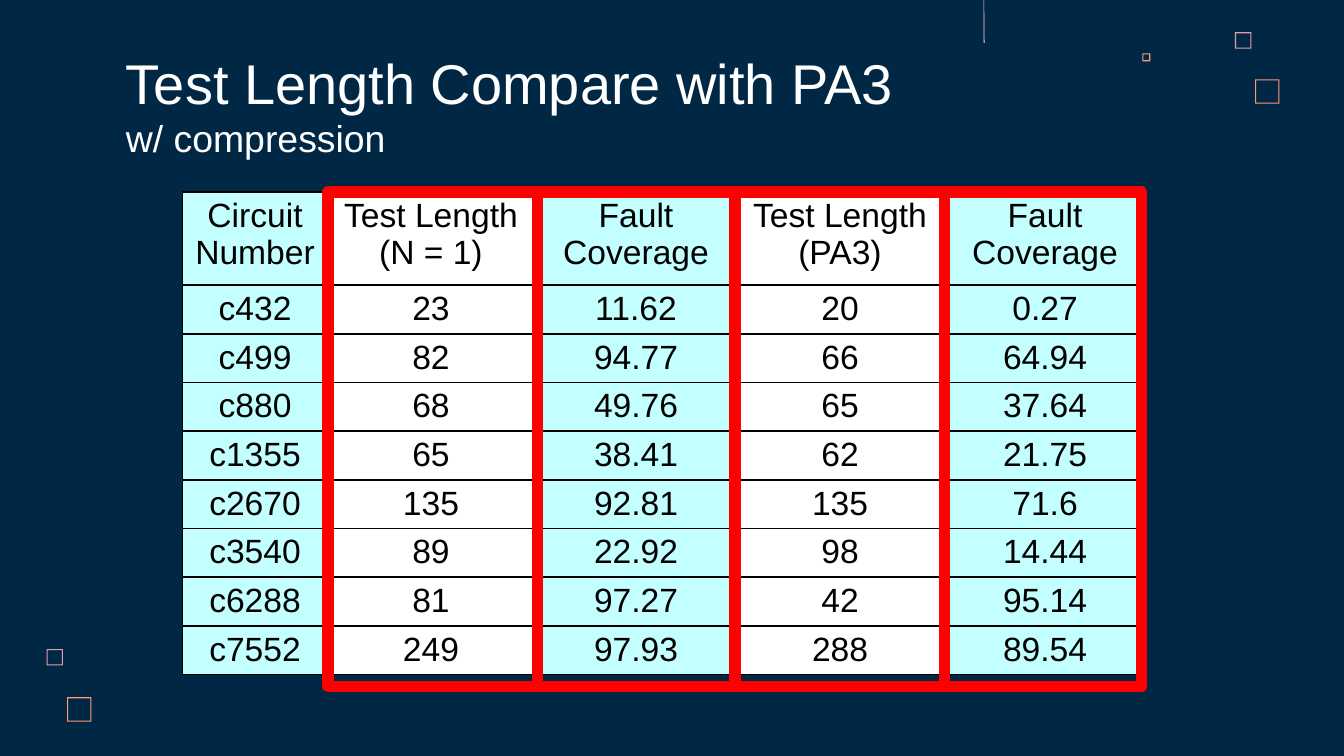
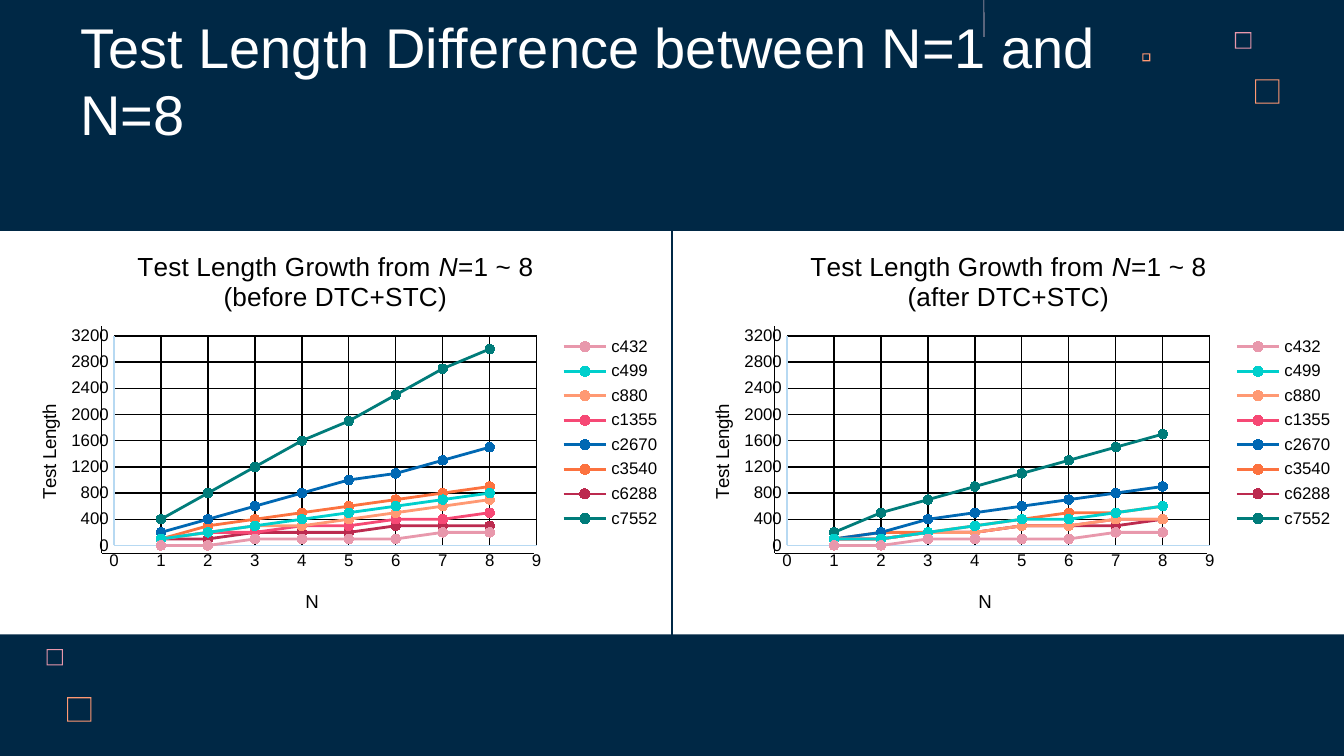
from dataclasses import dataclass
from itertools import accumulate

from pptx import Presentation
from pptx.chart.data import XyChartData
from pptx.dml.color import RGBColor
from pptx.enum.chart import XL_CHART_TYPE, XL_LEGEND_POSITION, XL_MARKER_STYLE, XL_TICK_MARK
from pptx.enum.shapes import MSO_CONNECTOR, MSO_SHAPE
from pptx.enum.text import MSO_ANCHOR, MSO_AUTO_SIZE, PP_ALIGN
from pptx.oxml import parse_xml
from pptx.oxml.ns import nsdecls
from pptx.util import Cm, Pt

SCATTER = XL_CHART_TYPE.XY_SCATTER_LINES
RIGHT = XL_LEGEND_POSITION.RIGHT
CIRCLE = XL_MARKER_STYLE.CIRCLE
NO_TICK = XL_TICK_MARK.NONE
STRAIGHT = MSO_CONNECTOR.STRAIGHT
RECTANGLE = MSO_SHAPE.RECTANGLE
BOTTOM = MSO_ANCHOR.BOTTOM
NO_FIT = MSO_AUTO_SIZE.NONE
LEFT, CENTER = PP_ALIGN.LEFT, PP_ALIGN.CENTER


@dataclass(frozen=True)
class Theme:
    font: str = "Arial"
    navy: str = "002845"
    white: str = "FFFFFF"
    black: str = "000000"
    aqua: str = "C2FFFE"
    red: str = "FF0000"
    pink: str = "E898AC"
    orange: str = "FF9973"
    blush: str = "FFD6E1"
    axis: str = "B7D9F2"
    title: int = 30
    subtitle: int = 20
    table: int = 18
    chart_title: int = 14
    axis_title: int = 10
    label: int = 9


THEME = Theme()

# Content: slide titles
COMPARE_TITLE = ("Test Length Compare with PA3", "w/ compression")
GROWTH_TITLE = ("Test Length Difference between N=1 and N=8",)

# Content: tables
OWN_RESULTS = [
    ("Circuit Number", "Test Length (N = 1)", "Fault Coverage"),
    ("c432", "23", "11.62"),
    ("c499", "82", "94.77"),
    ("c880", "68", "49.76"),
    ("c1355", "65", "38.41"),
    ("c2670", "135", "92.81"),
    ("c3540", "89", "22.92"),
    ("c6288", "81", "97.27"),
    ("c7552", "249", "97.93"),
]
PA3_RESULTS = [
    ("Test Length (PA3)", "Fault Coverage"),
    ("20", "0.27"),
    ("66", "64.94"),
    ("65", "37.64"),
    ("62", "21.75"),
    ("135", "71.6"),
    ("98", "14.44"),
    ("42", "95.14"),
    ("288", "89.54"),
]

# Content: charts
CIRCUIT_COLORS = {
    "c432": "E898AC", "c499": "00CFCC", "c880": "FF9973", "c1355": "F64975",
    "c2670": "0068B3", "c3540": "FC723F", "c6288": "BC2A4F", "c7552": "007C7A",
}
GROWTH_CHARTS = [
    ("(before DTC+STC)", [
        (0, 0, 100, 100, 100, 100, 200, 200),
        (100, 200, 300, 400, 500, 600, 700, 800),
        (100, 200, 300, 300, 400, 500, 600, 700),
        (100, 200, 200, 300, 300, 400, 400, 500),
        (200, 400, 600, 800, 1000, 1100, 1300, 1500),
        (100, 300, 400, 500, 600, 700, 800, 900),
        (100, 100, 200, 200, 200, 300, 300, 300),
        (400, 800, 1200, 1600, 1900, 2300, 2700, 3000),
    ]),
    ("(after DTC+STC)", [
        (0, 0, 100, 100, 100, 100, 200, 200),
        (100, 100, 200, 300, 400, 400, 500, 600),
        (100, 100, 200, 200, 300, 300, 400, 400),
        (100, 100, 200, 200, 300, 300, 400, 400),
        (100, 200, 400, 500, 600, 700, 800, 900),
        (100, 200, 200, 300, 400, 500, 500, 600),
        (100, 100, 200, 200, 300, 300, 300, 400),
        (200, 500, 700, 900, 1100, 1300, 1500, 1700),
    ]),
]

# Geometry in centimetres
SQUARES = [  # left, top, side, colour
    (23.34, 0.61, 0.31, THEME.pink), (21.59, 1.01, 0.15, THEME.orange),
    (23.72, 1.5, 0.46, THEME.orange), (0.88, 12.27, 0.31, THEME.pink),
    (1.27, 13.18, 0.46, THEME.orange),
]
SQUARE_EDGE = 0.02
HAIRLINE = [(18.59, 0), (18.59, 1.09), (18.61, 1.09), (18.6, 0)]
TABLE_TOP, HEADER_HEIGHT, ROW_HEIGHT = 3.63, 1.76, 0.92
CIRCUIT_WIDTH, LENGTH_WIDTH, COVERAGE_WIDTH = 2.74, 3.91, 3.84
FRAME_LEFT, FRAME_HEIGHT = 6.2, 9.35
FRAME_WIDTHS = [3.96, 3.73, 3.96, 3.73]
CHART_TOP, CHART_WIDTH, CHART_HEIGHT, CHART_STEP = 4.37, 12.68, 7.62, 12.72


def rgb(color):
    return RGBColor.from_string(color)


def style_font(font, size, color):
    font.name, font.size, font.bold = THEME.font, Pt(size), False
    font.color.rgb = rgb(color)


def style_line(line, color, width):
    line.color.rgb = rgb(color)
    line.width = Pt(width)


# Shared slide parts
def add_outline(page, contours, color):
    start = contours[0][0]
    builder = page.shapes.build_freeform(Cm(start[0]), Cm(start[1]))
    for index, contour in enumerate(contours):
        points = [(Cm(x), Cm(y)) for x, y in contour]
        if index:
            builder.move_to(*points[0])
        builder.add_line_segments(points[1:], close=True)
    outline = builder.convert_to_shape()
    outline.shadow.inherit = False
    outline.fill.solid()
    outline.fill.fore_color.rgb = rgb(color)
    outline.line.fill.background()


def add_rectangle(page, left, top, width, height, fill, line, line_width):
    box = page.shapes.add_shape(RECTANGLE, Cm(left), Cm(top), Cm(width), Cm(height))
    box.shadow.inherit = False
    if fill:
        box.fill.solid()
        box.fill.fore_color.rgb = rgb(fill)
    else:
        box.fill.background()
    style_line(box.line, line, line_width)


def add_page(deck, title_lines, left, top, cover_top):
    page = deck.slides.add_slide(deck.slide_layouts[5])
    for x, y, side, color in SQUARES:
        near_x, near_y = x + SQUARE_EDGE, y + SQUARE_EDGE
        far_x, far_y = x + side - SQUARE_EDGE, y + side - SQUARE_EDGE
        inner = [(far_x, near_y), (far_x, far_y), (near_x, far_y), (near_x, near_y)]
        outer = [(x, y), (x, y + side), (x + side, y + side), (x + side, y)]
        add_outline(page, [inner, outer], color)
    add_outline(page, [HAIRLINE], THEME.blush)
    add_rectangle(page, 18.21, cover_top, 2.13, 1.17, THEME.navy, THEME.navy, 2)

    title = page.shapes.title
    title.left, title.top, title.width, title.height = Cm(left), Cm(top), Cm(19.89), Cm(1.6)
    frame = title.text_frame
    frame.text = "\v".join(title_lines)
    frame.auto_size, frame.vertical_anchor, frame.word_wrap = NO_FIT, BOTTOM, True
    frame.margin_left = frame.margin_right = frame.margin_top = frame.margin_bottom = Cm(0.25)
    para = frame.paragraphs[0]
    para.alignment = LEFT
    for span, size in zip(para.runs, (THEME.title, THEME.subtitle)):
        style_font(span.font, size, THEME.white)
    page.shapes.element.append(title.element)  # title in front of the cover
    return page


# Tables
def style_cell(cell, text, fill):
    cell.text = text
    cell.margin_left = cell.margin_right = Cm(0.18)
    cell.margin_top = cell.margin_bottom = Cm(0.09)
    cell.fill.solid()
    cell.fill.fore_color.rgb = rgb(fill)
    para = cell.text_frame.paragraphs[0]
    para.alignment = CENTER
    style_font(para.runs[0].font, THEME.table, THEME.black)
    properties = cell._tc.get_or_add_tcPr()
    for index, side in enumerate("LRTB"):
        properties.insert(index, parse_xml(
            f'<a:ln{side} {nsdecls("a")} w="12700"><a:solidFill>'
            f'<a:srgbClr val="{THEME.black}"/></a:solidFill></a:ln{side}>'))


def add_results(page, rows, left, widths, fills):
    height = HEADER_HEIGHT + ROW_HEIGHT * (len(rows) - 1)
    table = page.shapes.add_table(len(rows), len(widths), Cm(left), Cm(TABLE_TOP),
                                  Cm(sum(widths)), Cm(height)).table
    table.first_row = table.horz_banding = False
    for column, width in zip(table.columns, widths):
        column.width = Cm(width)
    for index, (row, texts) in enumerate(zip(table.rows, rows)):
        row.height = Cm(ROW_HEIGHT if index else HEADER_HEIGHT)
        for cell, text, fill in zip(row.cells, texts, fills):
            style_cell(cell, text, fill)


# Charts
def place_part(part, index, x, y, width=None, height=None):
    for old in part.xpath("c:layout"):
        part.remove(old)
    values = {"x": x, "y": y, "w": width, "h": height}
    modes = '<c:xMode val="edge"/><c:yMode val="edge"/>'
    sizes = "".join(f'<c:{key} val="{value}"/>' for key, value in values.items() if value)
    target = '<c:layoutTarget val="inner"/>' if part.tag.endswith("plotArea") else ""
    part.insert(index, parse_xml(f'<c:layout {nsdecls("c")}><c:manualLayout>{target}{modes}{sizes}'
                                 '</c:manualLayout></c:layout>'))


def style_axis(axis, title, top, step):
    axis.minimum_scale, axis.maximum_scale, axis.major_unit = 0, top, step
    axis.major_tick_mark = axis.minor_tick_mark = NO_TICK
    style_font(axis.tick_labels.font, THEME.label, THEME.black)
    style_line(axis.format.line, THEME.axis, 0.75)
    axis.has_major_gridlines = True
    style_line(axis.major_gridlines.format.line, THEME.black, 0.75)
    frame = axis.axis_title.text_frame
    frame.text = title
    style_font(frame.paragraphs[0].runs[0].font, THEME.axis_title, THEME.black)


def add_growth_chart(page, left, stage, values):
    data = XyChartData()
    for name, lengths in zip(CIRCUIT_COLORS, values):
        series = data.add_series(name)
        for n, length in enumerate(lengths, start=1):
            series.add_data_point(n, length)
    chart = page.shapes.add_chart(SCATTER, Cm(left), Cm(CHART_TOP), Cm(CHART_WIDTH),
                                  Cm(CHART_HEIGHT), data).chart
    style_font(chart.font, THEME.axis_title, THEME.black)

    frame = chart.chart_title.text_frame
    para = frame.paragraphs[0]
    for text in ("Test Length Growth from ", "N", "=1 ~ 8"):
        span = para.add_run()
        span.text = text
        span.font.italic = text == "N"
    frame.add_paragraph().text = stage
    for para in frame.paragraphs:
        for span in para.runs:
            style_font(span.font, THEME.chart_title, THEME.black)

    style_axis(chart.category_axis, "N", 9, 1)
    style_axis(chart.value_axis, "Test Length", 3200, 400)
    chart.has_legend = True
    chart.legend.position, chart.legend.include_in_layout = RIGHT, False
    style_font(chart.legend.font, THEME.label, THEME.black)

    plot = chart.plots[0]
    plot.vary_by_categories = False
    for series, color in zip(plot.series, CIRCUIT_COLORS.values()):
        series.smooth = False
        style_line(series.format.line, color, 1.5)
        marker = series.marker
        marker.style, marker.size = CIRCLE, 5
        marker.format.fill.solid()
        marker.format.fill.fore_color.rgb = rgb(color)
        marker.format.line.color.rgb = rgb(color)

    # Fixed places inside the chart and its white ground
    space = chart.element
    n_title, length_title = space.xpath(".//c:valAx/c:title")
    place_part(space.xpath(".//c:plotArea")[0], 0, 0.17, 0.26, 0.63, 0.52)
    place_part(space.xpath(".//c:legend")[0], 1, 0.83, 0.25, 0.16, 0.5)
    place_part(n_title, 1, 0.45, 0.88)
    place_part(length_title, 1, 0.05, 0.42)
    space.xpath("c:chart")[0].addnext(parse_xml(
        f'<c:spPr {nsdecls("c", "a")}><a:solidFill><a:srgbClr val="{THEME.white}"/>'
        '</a:solidFill><a:ln><a:noFill/></a:ln></c:spPr>'))


def add_axis_line(page, *ends):
    line = page.shapes.add_connector(STRAIGHT, *(Cm(end) for end in ends))
    style_line(line.line, THEME.black, 0.75)
    line.element.spPr.append(parse_xml(f'<a:effectLst {nsdecls("a")}/>'))


def main():
    deck = Presentation()
    deck.slide_width, deck.slide_height = Cm(25.4), Cm(14.29)
    ground = deck.slide_master.background.fill
    ground.solid()
    ground.fore_color.rgb = rgb(THEME.navy)

    # Slide 1: result tables under red frames
    page = add_page(deck, COMPARE_TITLE, 2.13, 1.68, 0.84)
    widths = [LENGTH_WIDTH, COVERAGE_WIDTH]
    fills = [THEME.white, THEME.aqua]
    add_results(page, PA3_RESULTS, 13.92, widths, fills)
    add_results(page, OWN_RESULTS, 3.45, [CIRCUIT_WIDTH] + widths, [THEME.aqua] + fills)
    for left, width in zip(accumulate(FRAME_WIDTHS, initial=FRAME_LEFT), FRAME_WIDTHS):
        add_rectangle(page, left, TABLE_TOP, width, FRAME_HEIGHT, None, THEME.red, 6)

    # Slide 2: growth charts side by side
    page = add_page(deck, GROWTH_TITLE, 1.27, 1.42, 0.74)
    for index, (stage, values) in enumerate(GROWTH_CHARTS):
        left = index * CHART_STEP
        add_growth_chart(page, left, stage, values)
        add_axis_line(page, left + 1.92, 10.46, left + 10.09, 10.46)
        add_axis_line(page, left + 1.92, 6.17, left + 1.92, 10.46)

    deck.save("out.pptx")


if __name__ == "__main__":
    main()
